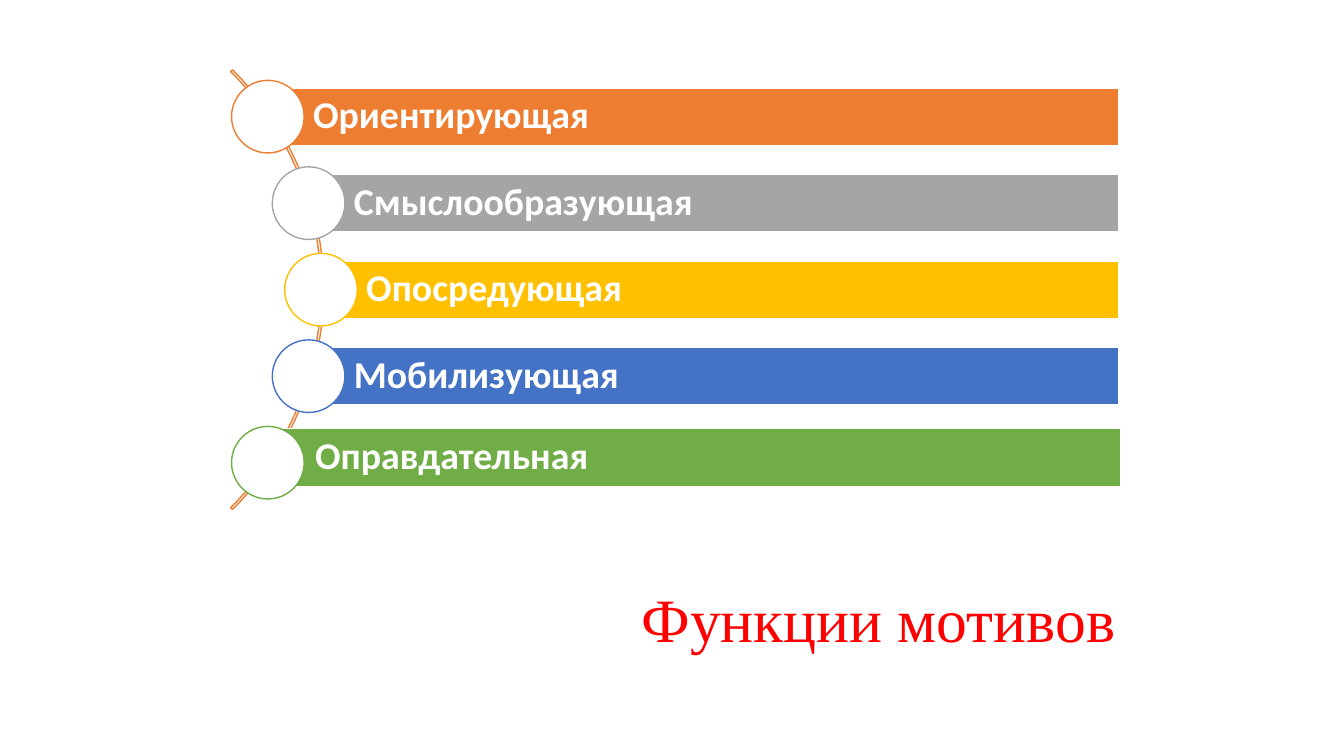
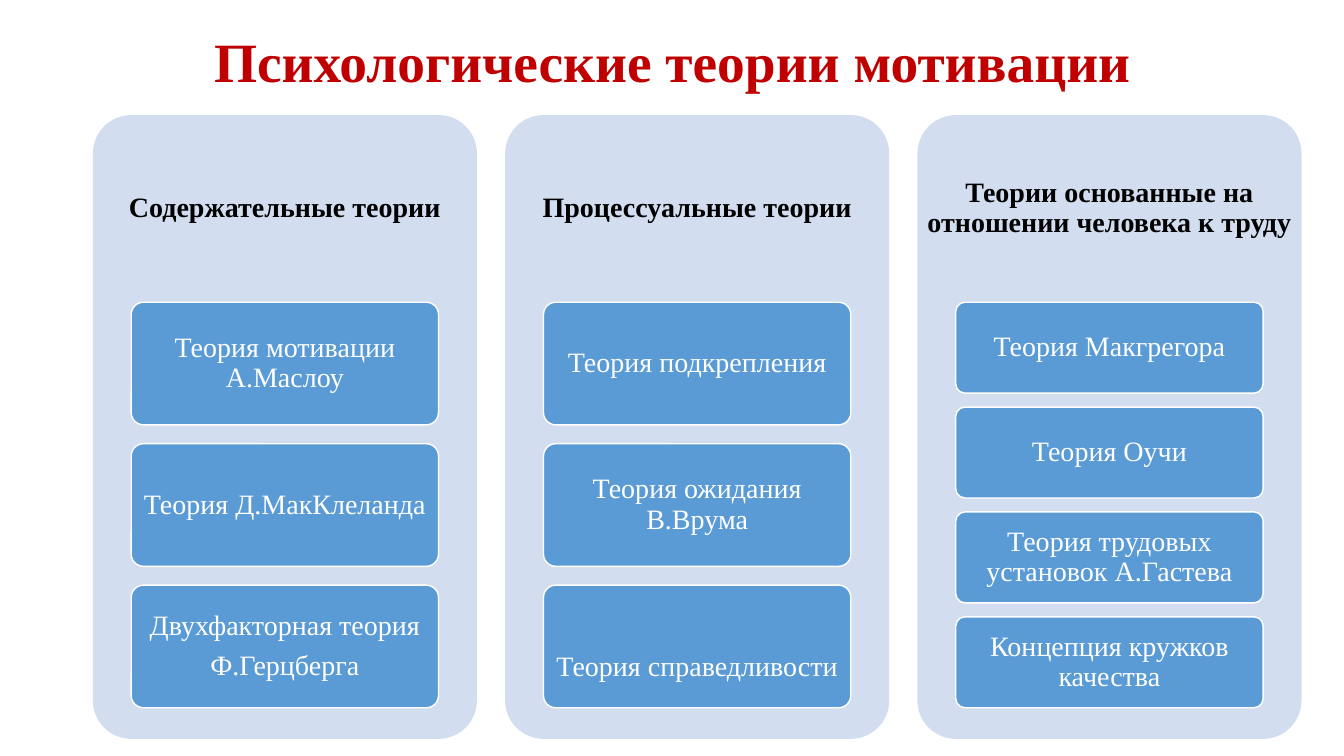
"""Builds two slides on the functions of motives and theories of motivation."""
from math import sqrt

from pptx import Presentation
from pptx.dml.color import RGBColor
from pptx.enum.shapes import MSO_SHAPE
from pptx.enum.text import MSO_ANCHOR, PP_ALIGN
from pptx.util import Cm, Pt

RECT, OVAL = MSO_SHAPE.RECTANGLE, MSO_SHAPE.OVAL
ROUND, ARC = MSO_SHAPE.ROUNDED_RECTANGLE, MSO_SHAPE.BLOCK_ARC
MIDDLE = MSO_ANCHOR.MIDDLE
LEFT, CENTER, RIGHT = PP_ALIGN.LEFT, PP_ALIGN.CENTER, PP_ALIGN.RIGHT

SERIF, SANS = "Times New Roman", "Calibri"
WHITE, BLACK, ORANGE = "FFFFFF", "000000", "ED7D31"
PANEL, CARD = "D2DEEF", "5B9BD5"

FUNCTIONS_TITLE = "Функции мотивов"
FUNCTIONS = [
    ("Ориентирующая", ORANGE, (0, 0)),
    ("Смыслообразующая", "A5A5A5", (0, 0)),
    ("Опосредующая", "FFC000", (0, 0)),
    ("Мобилизующая", "4472C4", (0, 0)),
    ("Оправдательная", "70AD47", (0.05, -0.13)),
]

THEORIES_TITLE = "Психологические теории мотивации"
THEORIES = [
    ("Содержательные теории", [
        "Теория мотивации А.Маслоу",
        "Теория Д.МакКлеланда",
        "Двухфакторная теория\nФ.Герцберга",
    ]),
    ("Процессуальные теории", [
        "Теория подкрепления",
        "Теория ожидания В.Врума",
        "Теория справедливости",
    ]),
    ("Теории основанные на отношении человека к труду", [
        "Теория Макгрегора",
        "Теория Оучи",
        "Теория трудовых установок А.Гастева",
        "Концепция кружков качества",
    ]),
]
LOWERED = {"Теория справедливости": 1.04}


def rgb(value):
    return RGBColor.from_string(value)


def add_shape(s, kind, box, fill=None, line=None):
    sp = s.shapes.add_shape(kind, *map(Cm, box))
    sp.shadow.inherit = False
    if fill:
        sp.fill.solid()
        sp.fill.fore_color.rgb = rgb(fill)
    else:
        sp.fill.background()
    if line:
        sp.line.color.rgb = rgb(line)
        sp.line.width = Pt(1)
    else:
        sp.line.fill.background()
    return sp


def write(sp, text, size=20, color=WHITE, font=SERIF, bold=False,
          align=CENTER, insets=(0.25, 0.13, 0.25, 0.13)):
    tf = sp.text_frame
    tf.word_wrap = True
    tf.vertical_anchor = MIDDLE
    tf.margin_left, tf.margin_top, tf.margin_right, tf.margin_bottom = map(Cm, insets)
    lines = text.split("\n")
    for i, line in enumerate(lines):
        p = tf.paragraphs[0] if i == 0 else tf.add_paragraph()
        p.alignment = align
        p.line_spacing = 0.9
        p.space_after = Pt(size * 0.35 if i < len(lines) - 1 else 0)
        r = p.add_run()
        r.text = line
        r.font.name = font
        r.font.size = Pt(size)
        r.font.bold = bold
        r.font.color.rgb = rgb(color)


def add_text(s, box, text, **fmt):
    write(s.shapes.add_textbox(*map(Cm, box)), text, **fmt)


def functions_slide(s):
    add_text(s, (6.15, 14.6, 22.22, 2.16), FUNCTIONS_TITLE,
             size=44, color="FF0000", align=RIGHT)
    arc_x, arc_y, arc_size, radius = 0.32, 7.3, 15.67, 7.77
    arc = add_shape(s, ARC, (arc_x - arc_size / 2, arc_y - arc_size / 2,
                             arc_size, arc_size), line=ORANGE)
    for i, value in enumerate((189, 27, 0.004)):
        arc.adjustments[i] = value
    pitch, dot, bar_h, bar_right = 2.18, 1.83, 1.45, 28.2
    for i, (name, color, (dx, dy)) in enumerate(FUNCTIONS):
        offset = (i - (len(FUNCTIONS) - 1) / 2) * pitch
        x, y = arc_x + sqrt(radius ** 2 - offset ** 2), arc_y + offset
        bar = add_shape(s, RECT, (x + dx, y - bar_h / 2 + dy, bar_right - x, bar_h),
                        color, WHITE)
        write(bar, name, size=27, font=SANS, bold=True, align=LEFT,
              insets=(1.14, 0.18, 0.18, 0.18))
        add_shape(s, OVAL, (x - dot / 2, y - dot / 2, dot, dot), WHITE, color)


def theories_slide(s):
    add_text(s, (2.34, 1.02, 29.21, 1.19), THEORIES_TITLE,
             size=39.6, color="C00000", bold=True)
    left, top, width, height, pitch = 2.34, 2.9, 9.68, 15.72, 10.39
    head_h, list_h, gap_ratio = height * 0.3, height * 0.65, 0.154
    for col, (heading, cards) in enumerate(THEORIES):
        x = left + col * pitch
        panel = add_shape(s, ROUND, (x, top, width, height), PANEL)
        panel.adjustments[0] = 0.1
        add_text(s, (x, top, width, head_h), heading, color=BLACK, bold=True,
                 insets=(0.2,) * 4)
        n = len(cards)
        card_h = list_h / (n + (n - 1) * gap_ratio)
        for row, name in enumerate(cards):
            y = top + head_h + row * card_h * (1 + gap_ratio)
            card = add_shape(s, ROUND, (x + width * 0.1, y, width * 0.8, card_h),
                             CARD, WHITE)
            card.adjustments[0] = 0.1
            write(card, name, insets=(0.15, 0.1 + LOWERED.get(name, 0), 0.15, 0.1))


def main():
    prs = Presentation()
    prs.slide_width, prs.slide_height = Cm(33.87), Cm(19.05)
    for build in (functions_slide, theories_slide):
        build(prs.slides.add_slide(prs.slide_layouts[6]))
    prs.save("out.pptx")


if __name__ == "__main__":
    main()
